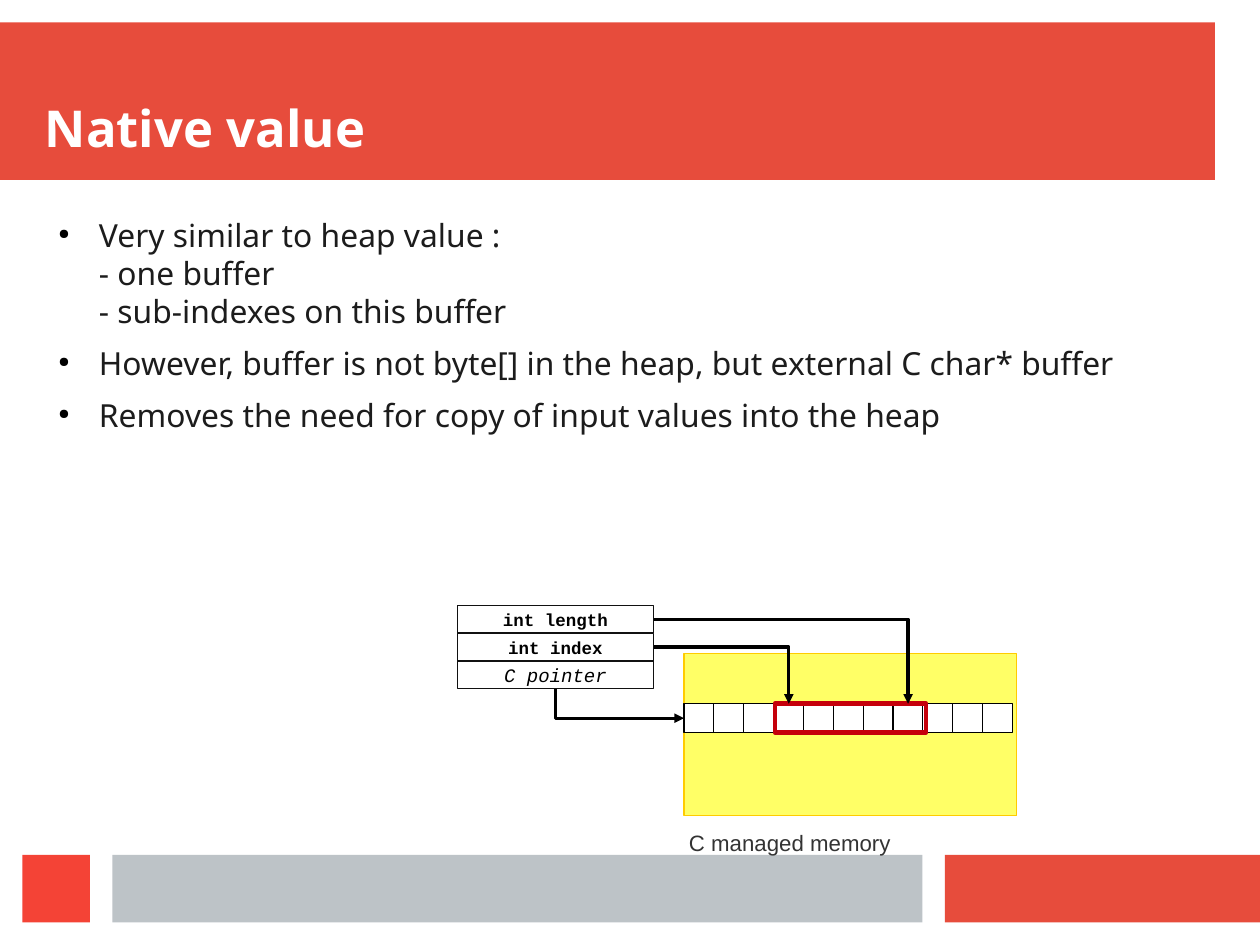
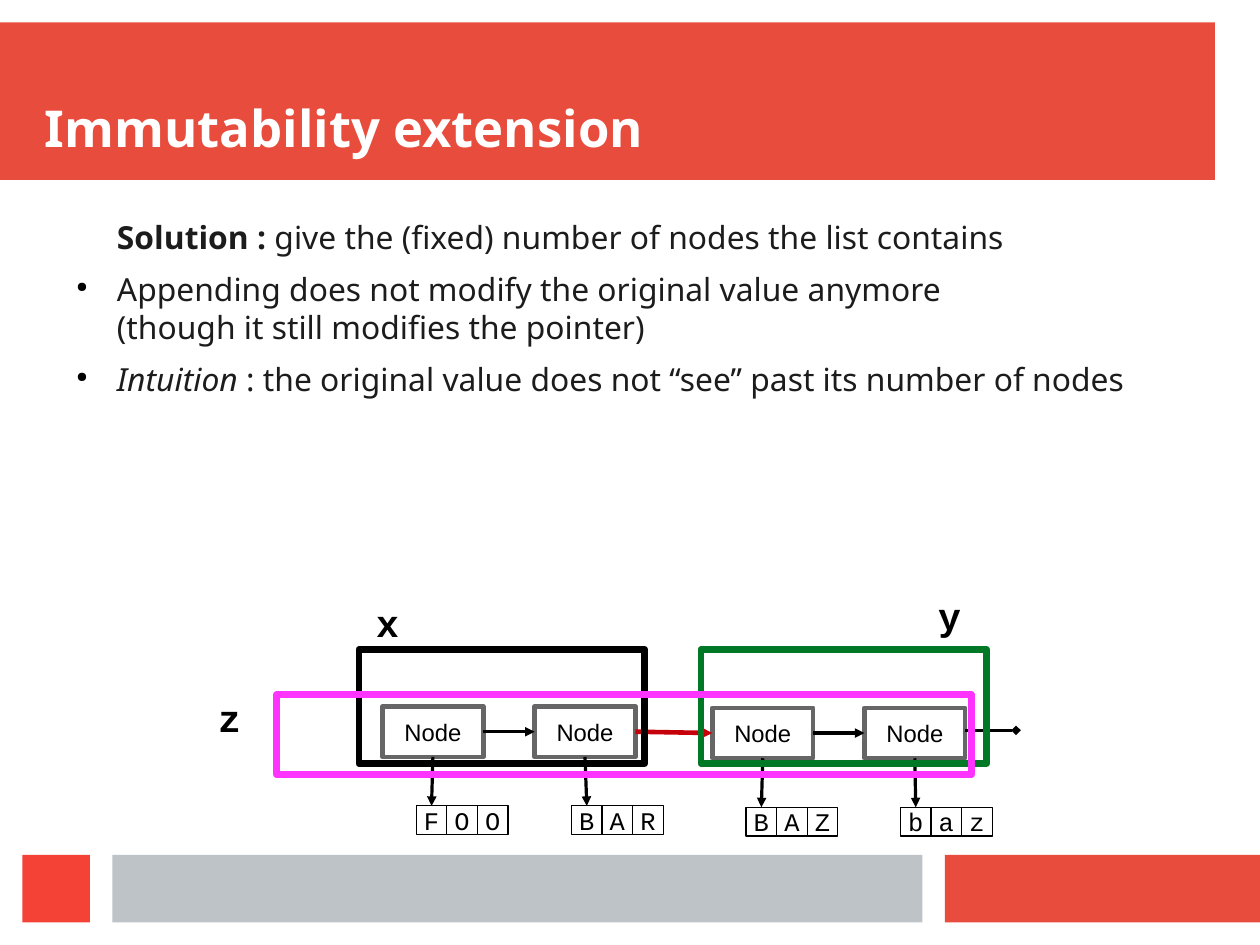
import pptx
import pptx.dml.color
import pptx.enum.shapes
import pptx.enum.text
import pptx.oxml
import pptx.oxml.ns
import pptx.util

COLUMNS, ROWS = 28, 21
RGB = pptx.dml.color.RGBColor
RED = RGB(0xE7, 0x4C, 0x3C)
BRIGHT_RED = RGB(0xF4, 0x43, 0x36)
GREY = RGB(0xBD, 0xC3, 0xC7)
WHITE = RGB(0xFF, 0xFF, 0xFF)
BLACK = RGB(0x00, 0x00, 0x00)
INK = RGB(0x1C, 0x1C, 0x1C)
FIELD_LINE = RGB(0x11, 0x11, 0x11)
LABEL_GREY = RGB(0x33, 0x33, 0x33)
NODE_GREY = RGB(0x66, 0x66, 0x66)
YELLOW = RGB(0xFF, 0xFF, 0x66)
AMBER = RGB(0xFF, 0xCC, 0x00)
DARK_RED = RGB(0xC5, 0x00, 0x0B)
GREEN = RGB(0x00, 0x78, 0x26)
MAGENTA = RGB(0xFF, 0x33, 0xFF)

HAIRLINE, THICK, FRAME = 0, 2.89, 4.31
TOP, LEFT, BOTTOM, RIGHT = range(4)

Pt = pptx.util.Pt
TITLE = {"name": "Noto Sans", "size": Pt(32), "bold": True, "color": WHITE}
BODY = {"name": "Noto Sans", "size": Pt(20), "color": INK}
FIELD = {"name": "Courier New", "size": Pt(11), "bold": True, "color": BLACK}
POINTER = {"name": "Courier New", "size": Pt(12), "italic": True, "color": BLACK}
LETTER = {"name": "Courier New", "size": Pt(16), "color": BLACK}
TAG = {"name": "Courier New", "size": Pt(24), "bold": True, "color": BLACK}
NODE = {"name": "Arial", "size": Pt(15), "color": BLACK}
CAPTION = {"name": "Arial", "size": Pt(14), "color": LABEL_GREY}

NO_MARGINS = dict.fromkeys(("margin_left", "margin_top", "margin_right", "margin_bottom"), 0)
ANCHOR = pptx.enum.text.MSO_ANCHOR
CONNECTOR = pptx.enum.shapes.MSO_CONNECTOR
RECTANGLE = pptx.enum.shapes.MSO_SHAPE.RECTANGLE

BANDS = [
    ((0, 0.5, 27, 3.5), RED),
    ((21, 19, 7, 1.5), RED),
    ((2.5, 19, 18, 1.5), GREY),
    ((0.5, 19, 1.5, 1.5), BRIGHT_RED),
]


def set_values(target, values):
    for name, value in values.items():
        setattr(target, name, value)


def add_xml(parent, tag, **attributes):
    element = pptx.oxml.parse_xml(f"<a:{tag} {pptx.oxml.ns.nsdecls('a')}/>")
    for name, value in attributes.items():
        element.set(name, str(value))
    parent.append(element)
    return element


class Deck:
    def __init__(self):
        self.presentation = pptx.Presentation()
        self.presentation.slide_width = pptx.util.Cm(28)
        self.presentation.slide_height = pptx.util.Cm(21)
        self.layout = self.presentation.slide_layouts[6]
        for placeholder in list(self.layout.placeholders):
            self.layout.shapes.element.remove(placeholder.element)
        self.slide = None

    def x(self, columns):
        return int(self.presentation.slide_width * columns / COLUMNS)

    def y(self, rows):
        return int(self.presentation.slide_height * rows / ROWS)

    def place(self, left, top, width, height):
        return self.x(left), self.y(top), self.x(width), self.y(height)

    def open_slide(self, title):
        self.slide = self.presentation.slides.add_slide(self.layout)
        if not len(self.layout.shapes):
            for box, color in BANDS:
                band = self.rectangle(box, fill=color)
                self.layout.shapes.element.append(band.element)
        self.text((1, 1, 26, 2.5), title, TITLE, vertical_anchor=ANCHOR.BOTTOM)

    def rectangle(self, box, fill=None, line=None, width=HAIRLINE, label=None, style=None):
        shape = self.slide.shapes.add_shape(RECTANGLE, *self.place(*box))
        shape.shadow.inherit = False
        if fill is None:
            shape.fill.background()
        else:
            shape.fill.solid()
            shape.fill.fore_color.rgb = fill
        if line is None:
            shape.line.fill.background()
        else:
            shape.line.color.rgb = line
            shape.line.width = Pt(width)
        if label:
            set_values(shape.text_frame, {"word_wrap": False, "vertical_anchor": ANCHOR.MIDDLE})
            paragraph = shape.text_frame.paragraphs[0]
            paragraph.alignment = pptx.enum.text.PP_ALIGN.CENTER
            self.run(paragraph, label, style)
        return shape

    def run(self, paragraph, text, style):
        for index, line in enumerate(text.split("\n")):
            if index:
                paragraph.add_line_break()
            run = paragraph.add_run()
            run.text = line
            values = dict(style)
            run.font.color.rgb = values.pop("color")
            set_values(run.font, values)

    def text(self, box, text, style, **frame_values):
        frame = self.slide.shapes.add_textbox(*self.place(*box)).text_frame
        set_values(frame, {"word_wrap": True, **NO_MARGINS, **frame_values})
        self.run(frame.paragraphs[0], text, style)
        return frame

    def body(self, box, items):
        frame = self.slide.shapes.add_textbox(*self.place(*box)).text_frame
        set_values(frame, {"word_wrap": True, **NO_MARGINS})
        for index, (bulleted, runs) in enumerate(items):
            paragraph = frame.add_paragraph() if index else frame.paragraphs[0]
            paragraph.space_after = Pt(8.7)
            properties = paragraph._p.get_or_add_pPr()
            properties.set("marL", str(self.x(1.2)))
            properties.set("indent", str(self.x(-0.9) if bulleted else 0))
            if bulleted:
                color = add_xml(properties, "buClr")
                add_xml(color, "srgbClr", val=BLACK)
                add_xml(properties, "buSzPct", val=45000)
                add_xml(properties, "buChar", char="●")
            else:
                add_xml(properties, "buNone")
            for text, changes in runs:
                self.run(paragraph, text, {**BODY, **changes})

    def connector(self, kind, start, end, color=BLACK, width=HAIRLINE, head="triangle"):
        connector = self.slide.shapes.add_connector(
            kind, self.x(start[0]), self.y(start[1]), self.x(end[0]), self.y(end[1]))
        connector.line.color.rgb = color
        connector.line.width = Pt(width)
        properties = connector.element.spPr
        add_xml(properties.find(pptx.oxml.ns.qn("a:ln")), "tailEnd", type=head)
        add_xml(properties, "effectLst")
        return connector

    def link(self, source, source_side, target, target_side, **line):
        connector = self.connector(CONNECTOR.STRAIGHT, (0, 0), (1, 1), **line)
        connector.begin_connect(source, source_side)
        connector.end_connect(target, target_side)

    def elbow(self, start, end, down_first=False):
        (left, top), (right, bottom) = start, end
        if down_first:
            middle_x, middle_y = (left + right) / 2, (top + bottom) / 2
            half_x, half_y = (bottom - top) / 2, (right - left) / 2
            start = middle_x - half_x, middle_y - half_y
            end = middle_x + half_x, middle_y + half_y
        properties = self.connector(CONNECTOR.ELBOW, start, end).element.spPr
        properties.find(pptx.oxml.ns.qn("a:prstGeom")).set("prst", "bentConnector2")
        if down_first:
            transform = properties.find(pptx.oxml.ns.qn("a:xfrm"))
            transform.set("rot", "16200000")
            transform.set("flipH", "1")

    def cells(self, left, top, width, height, labels):
        return [
            self.rectangle((left + index * width, top, width, height),
                           WHITE, BLACK, label=label, style=LETTER)
            for index, label in enumerate(labels)
        ]


def native_value(deck):
    deck.open_slide("Native value")
    deck.body((1, 4.8, 25.5, 13), [
        (True, [("Very similar to heap value :\n- one buffer\n- sub-indexes on this buffer", {})]),
        (True, [("However, buffer is not byte[] in the heap, but external C char* buffer", {})]),
        (True, [("Removes the need for copy of input values into the heap", {})]),
    ])
    memory_left, buffer_top, buffer_height = 15.2, 15.64, 0.64
    deck.rectangle((memory_left, 14.53, 7.4, 3.6), YELLOW, AMBER)

    field_left, field_top, field_width, field_height = 10.16, 13.45, 4.37, 0.62
    fields = [("int length", FIELD), ("int index", FIELD), ("C pointer", POINTER)]
    for index, (label, style) in enumerate(fields):
        deck.rectangle((field_left, field_top + index * field_height, field_width, field_height),
                       WHITE, FIELD_LINE, label=label, style=style)

    deck.cells(memory_left, buffer_top, 7.3 / 11, buffer_height, [None] * 11)
    deck.rectangle((17.22, buffer_top, 3.36, buffer_height), line=DARK_RED, width=THICK)
    deck.text((15.31, 18.43, 6.1, 0.75), "C managed memory", CAPTION, word_wrap=False)

    deck.elbow((field_left + field_width / 2, field_top + 3 * field_height),
               (memory_left, buffer_top + buffer_height / 2), down_first=True)
    for index, target in enumerate((20.18, 17.53)):
        deck.elbow((field_left + field_width, field_top + (index + 0.5) * field_height),
                   (target, buffer_top))


def immutability_extension(deck):
    deck.open_slide("Immutability extension")
    deck.body((1.4, 4.83, 25.2, 12.17), [
        (False, [("Solution :", {"bold": True}),
                 (" give the (fixed) number of nodes the list contains", {})]),
        (True, [("Appending does not modify the original value anymore\n"
                 "(though it still modifies the pointer)", {})]),
        (True, [("Intuition", {"italic": True}),
                (" : the original value does not “see” past its number of nodes", {})]),
    ])
    chain = [
        ("FOO", 8.5, 9.25, 15.7),
        ("BAR", 11.88, 12.7, 15.7),
        ("BAZ", 15.83, 16.58, 15.73),
        ("baz", 19.21, 20.01, 15.73),
    ]
    nodes = []
    for word, node_left, word_left, top in chain:
        letters = deck.cells(word_left, top + 2.21, 0.68, 0.64, word)
        node = deck.rectangle((node_left, top, 2.24, 1.12), line=NODE_GREY, width=THICK,
                              label="Node", style=NODE)
        deck.link(node, BOTTOM, letters[0], TOP)
        nodes.append(node)
    joins = [{}, {"color": DARK_RED, "width": THICK}, {}]
    for source, target, line in zip(nodes, nodes[1:], joins):
        deck.link(source, RIGHT, target, LEFT, **line)
    deck.connector(CONNECTOR.STRAIGHT, (21.45, 16.23), (22.58, 16.23), head="diamond")

    values = [
        ("x", (8.36, 13.31), (7.98, 14.43, 6.35, 2.54), BLACK),
        ("y", (20.85, 13.16), (15.58, 14.43, 6.35, 2.54), GREEN),
        ("z", (4.85, 15.44), (6.15, 15.44, 15.44, 1.78), MAGENTA),
    ]
    for name, (left, top), frame, color in values:
        deck.rectangle(frame, line=color, width=FRAME)
        deck.text((left, top, 0.84, 1.52), name, TAG)


def main():
    deck = Deck()
    native_value(deck)
    immutability_extension(deck)
    deck.presentation.save("out.pptx")


if __name__ == "__main__":
    main()
